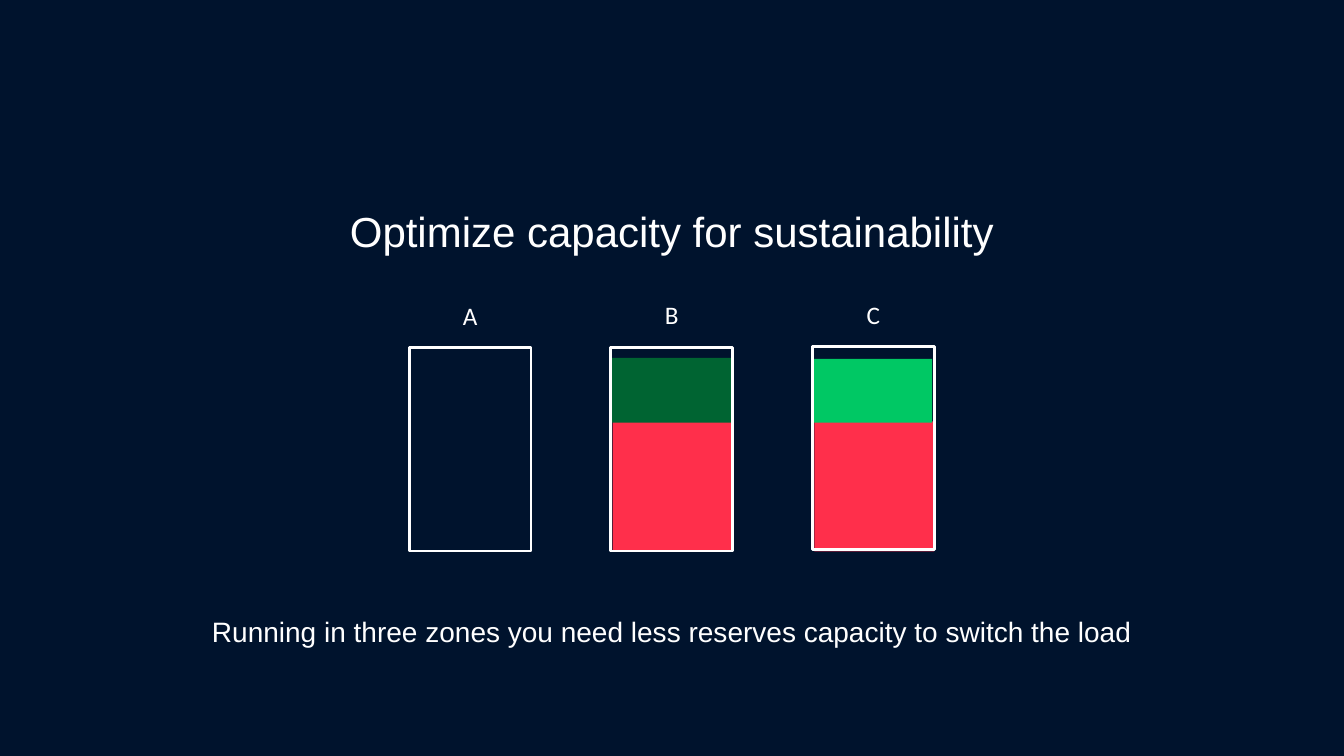
from pptx import Presentation
from pptx.dml.color import RGBColor
from pptx.enum.shapes import MSO_SHAPE
from pptx.enum.text import MSO_ANCHOR, PP_ALIGN
from pptx.util import Pt

RECTANGLE = MSO_SHAPE.RECTANGLE
TOP, BOTTOM = MSO_ANCHOR.TOP, MSO_ANCHOR.BOTTOM
CENTER = PP_ALIGN.CENTER

# Content
TITLE = "Optimize capacity for sustainability"
SUMMARY = "Running in three zones you need less reserves capacity to switch the load"
COLORS = {
    "background": "00132D",
    "white": "FFFFFF",
    "load": "FF2F4B",
    "reserve_b": "006432",
    "reserve_c": "00C864",
}
# Zone: label, label top, frame top, reserve (top, width, height, colour)
ZONES = [
    ("A", 211, 248.2, None),
    ("B", 210.2, 248.2, (255.7, 87, 46.2, "reserve_b")),
    ("C", 210.2, 247.2, (256.3, 85.6, 45.6, "reserve_c")),
]

# Layout in points
ZONE_LEFT, ZONE_PITCH = 292.3, 144
ZONE_WIDTH, ZONE_HEIGHT = 87, 145.4
LOAD_INSET, LOAD_TOP, LOAD_HEIGHT = 1.4, 301, 92.8
TEXT_LEFT, TEXT_WIDTH = 103, 754

prs = Presentation()
prs.slide_width, prs.slide_height = Pt(960), Pt(540)
slide = prs.slides.add_slide(prs.slide_layouts[6])


def color(name):
    return RGBColor.from_string(COLORS[name])


def add_text(text, left, top, width, height, font, size, spacing=None, anchor=TOP):
    frame = slide.shapes.add_textbox(
        Pt(left), Pt(top), Pt(width), Pt(height)).text_frame
    frame.word_wrap = True
    frame.vertical_anchor = anchor
    frame.text = text
    line = frame.paragraphs[0]
    line.alignment = CENTER
    if spacing:
        line.line_spacing = Pt(spacing)
    style = line.runs[0].font
    style.name, style.size = font, Pt(size)
    style.color.rgb = color("white")


def add_block(left, top, width, height, fill=None):
    """Draw a solid block, or a white frame when no fill is given."""
    block = slide.shapes.add_shape(
        RECTANGLE, Pt(left), Pt(top), Pt(width), Pt(height))
    block.shadow.inherit = False
    if fill:
        block.fill.solid()
        block.fill.fore_color.rgb = color(fill)
        block.line.fill.background()
    else:
        block.fill.background()
        block.line.color.rgb = color("white")
        block.line.width = Pt(2)


# Background and title
slide.background.fill.solid()
slide.background.fill.fore_color.rgb = color("background")
add_text(TITLE, TEXT_LEFT, 114.5, TEXT_WIDTH, 72, "Arial", 30, 38, BOTTOM)

# Zones: load, reserve, then the frame on top
for i, (label, label_top, frame_top, reserve) in enumerate(ZONES):
    left = ZONE_LEFT + i * ZONE_PITCH
    add_text(label, left, label_top, ZONE_WIDTH, 29, "Calibri", 18)
    if reserve:
        reserve_top, reserve_width, reserve_height, reserve_color = reserve
        add_block(left + LOAD_INSET, LOAD_TOP, ZONE_WIDTH - LOAD_INSET,
                  LOAD_HEIGHT, "load")
        add_block(left, reserve_top, reserve_width, reserve_height, reserve_color)
    add_block(left, frame_top, ZONE_WIDTH, ZONE_HEIGHT)

# Summary
add_text(SUMMARY, TEXT_LEFT, 433.4, TEXT_WIDTH, 64, "Arial", 20, 26)

prs.save("out.pptx")
